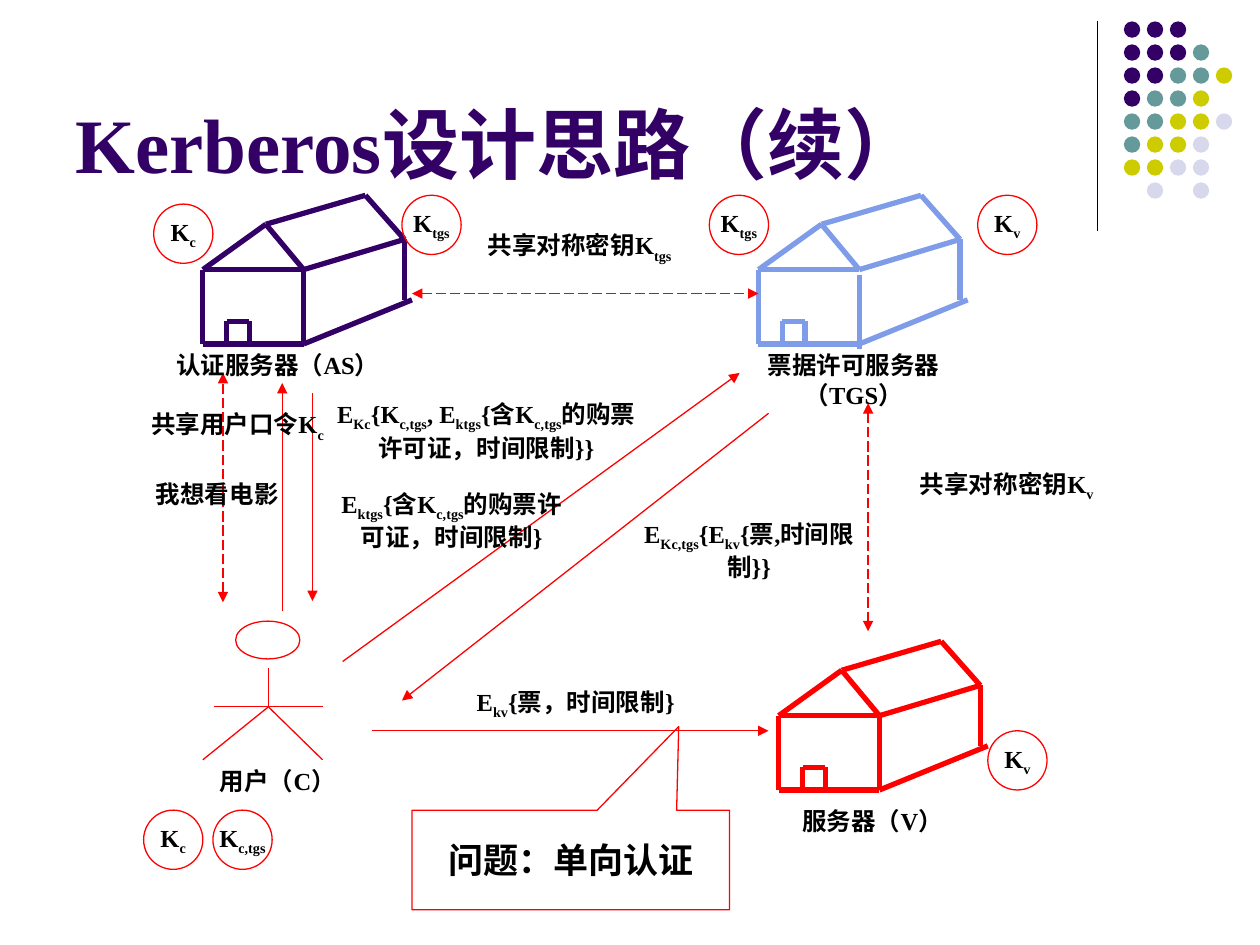
from lxml import etree
from pptx import Presentation
from pptx.dml.color import RGBColor
from pptx.enum.dml import MSO_LINE
from pptx.enum.shapes import MSO_CONNECTOR, MSO_SHAPE
from pptx.enum.text import MSO_ANCHOR, MSO_AUTO_SIZE, PP_ALIGN
from pptx.oxml.ns import qn
from pptx.util import Inches, Pt

STRAIGHT = MSO_CONNECTOR.STRAIGHT
OVAL, CALLOUT = MSO_SHAPE.OVAL, MSO_SHAPE.RECTANGULAR_CALLOUT
LONG_DASH = MSO_LINE.LONG_DASH
TOP, MIDDLE, BOTTOM = MSO_ANCHOR.TOP, MSO_ANCHOR.MIDDLE, MSO_ANCHOR.BOTTOM
LEFT, CENTER = PP_ALIGN.LEFT, PP_ALIGN.CENTER
FIT_TEXT = MSO_AUTO_SIZE.SHAPE_TO_FIT_TEXT

FONT = "Times New Roman"
BLACK = RGBColor(0x00, 0x00, 0x00)
PURPLE = RGBColor(0x33, 0x00, 0x66)
BLUE = RGBColor(0x7E, 0x9C, 0xE8)
RED = RGBColor(0xFF, 0x00, 0x00)
TEAL = RGBColor(0x66, 0x99, 0x99)
YELLOW = RGBColor(0xCC, 0xCC, 0x00)
LAVENDER = RGBColor(0xD8, 0xD8, 0xEC)

DOT_COLORS = {"P": PURPLE, "T": TEAL, "Y": YELLOW, "L": LAVENDER}
DOT_ROWS = ["PPP", "PPPT", "PPTTY", "PTTY", "TTYYL", "TYYL", "YYLL", "-L-L"]
DOT_PITCH = 0.73 / 4

# Strokes of a house, measured from its top left corner
HOUSE_STROKES = [
    (0.5, 0.23, 0, 0.59), (0.5, 0.23, 0.8, 0.59), (0, 0.59, 0.8, 0.59),
    (0.5, 0.23, 1.29, 0), (1.29, 0, 1.6, 0.35), (0.8, 0.59, 1.6, 0.35),
    (0, 0.59, 0, 1.18), (0, 1.18, 0.8, 1.18), (0.8, 1.18, 1.66, 0.83),
    (1.6, 0.35, 1.6, 0.83),
    (0.19, 1, 0.19, 1.18), (0.19, 1, 0.37, 1), (0.37, 1, 0.37, 1.18),
]

# Text in square brackets is subscript
LABELS = [
    ("票据许可服务器（TGS）", 5.79, 2.73, 1.97, 0.57),
    ("服务器（V）", 5.94, 6.35, 1.97, 0.33),
    ("认证服务器（AS）", 1.22, 2.73, 1.97, 0.33),
    ("用户（C）", 1.22, 6.03, 1.97, 0.33),
    ("我想看电影", 0.9, 3.75, 1.65, 0.33),
    ("E[Kc]{K[c,tgs], E[ktgs]{含K[c,tgs]的购票许可证，时间限制}}", 2.56, 3.12, 2.6, 0.57),
    ("E[ktgs]{含K[c,tgs]的购票许可证，时间限制}", 2.56, 3.83, 2.05, 0.57),
    ("E[Kc,tgs]{E[kv]{票,时间限制}}", 4.92, 4.07, 2.05, 0.57),
    ("E[kv]{票，时间限制}", 3.27, 5.4, 2.6, 0.33),
    ("共享对称密钥K[tgs]", 3.5, 1.78, 2.2, 0.33),
    ("共享对称密钥K[v]", 6.89, 3.67, 2.2, 0.33),
    ("共享用户口令K[c]", 1.06, 3.2, 1.65, 0.33),
]
MESSAGES = [
    (2.24, 4.85, 2.24, 3.04), (2.48, 3.12, 2.48, 4.77),
    (2.72, 5.25, 5.87, 2.96), (6.1, 3.28, 3.19, 5.56),
    (2.95, 5.8, 6.1, 5.8),
]
SHARED_KEYS = [
    (3.27, 2.33, 6.02, 2.33), (6.89, 3.2, 6.89, 5.01), (1.77, 4.78, 1.77, 2.96),
]
KEYS = [
    ("K[c,tgs]", 1.69, 6.43), ("K[c]", 1.14, 6.43), ("K[c]", 1.22, 1.62),
    ("K[tgs]", 5.63, 1.55), ("K[v]", 7.84, 5.8), ("K[tgs]", 3.19, 1.55),
    ("K[v]", 7.76, 1.55),
]


def write(shape, text, size=14, color=BLACK, align=CENTER, anchor=TOP, wrap=True):
    """Fill a shape with bold text; parts in square brackets become subscript."""
    frame = shape.text_frame
    frame.word_wrap = wrap
    frame.vertical_anchor = anchor
    para = frame.paragraphs[0]
    para.alignment = align
    for index, part in enumerate(text.replace("]", "[").split("[")):
        if not part:
            continue
        span = para.add_run()
        span.text = part
        font = span.font
        font.name, font.size, font.bold = FONT, Pt(size), True
        font.color.rgb = color
        if index % 2:
            span._r.get_or_add_rPr().set("baseline", "-25000")


def add_label(page, text, left, top, width, height, **text_format):
    box = page.shapes.add_textbox(Inches(left), Inches(top), Inches(width), Inches(height))
    write(box, text, **text_format)
    return box


def add_line(page, ends, color=RED, width=0.75, dash=None, arrows=()):
    """Draw a line; arrows names the ends to be tipped, in XML order."""
    line = page.shapes.add_connector(STRAIGHT, *(Inches(value) for value in ends))
    line.line.color.rgb = color
    line.line.width = Pt(width)
    if dash is not None:
        line.line.dash_style = dash
    properties = line._element.spPr
    for end in arrows:
        etree.SubElement(properties.find(qn("a:ln")), qn(f"a:{end}"), type="triangle")
    etree.SubElement(properties, qn("a:effectLst"))


def add_outline(page, kind, left, top, width, height):
    shape = page.shapes.add_shape(kind, Inches(left), Inches(top), Inches(width), Inches(height))
    shape.shadow.inherit = False
    shape.fill.background()
    shape.line.color.rgb = RED
    shape.line.width = Pt(0.75)
    return shape


def add_dots(page):
    for row, codes in enumerate(DOT_ROWS):
        for column, code in enumerate(codes):
            if code in DOT_COLORS:
                dot = add_outline(page, OVAL, 8.92 + column * DOT_PITCH,
                                  0.17 + row * DOT_PITCH, 0.13, 0.13)
                dot.fill.solid()
                dot.fill.fore_color.rgb = DOT_COLORS[code]
                dot.line.fill.background()


def add_house(page, left, top, color, edge_drop=0):
    """Draw a house; edge_drop lowers the upright edge between its walls."""
    edge = (0.8, 0.59 + edge_drop, 0.8, 1.18 + edge_drop)
    for x1, y1, x2, y2 in HOUSE_STROKES + [edge]:
        add_line(page, (left + x1, top + y1, left + x2, top + y2), color, 3)


def add_user(page):
    add_outline(page, OVAL, 1.87, 4.93, 0.51, 0.3)
    for end in [(2.13, 5.3), (1.61, 6.03), (2.56, 6.03)]:
        add_line(page, (2.13, 5.61, *end))
    add_line(page, (1.7, 5.61, 2.56, 5.61))


def main():
    deck = Presentation()
    deck.slide_width, deck.slide_height = Inches(10), Inches(7.5)
    page = deck.slides.add_slide(deck.slide_layouts[6])

    add_line(page, (8.71, 0.17, 8.71, 1.83), BLACK)
    add_dots(page)
    add_label(page, "Kerberos设计思路（续）", 0.5, 0.13, 8.25, 1.42,
              size=44, color=PURPLE, align=LEFT, anchor=BOTTOM)

    add_house(page, 6.02, 1.55, BLUE, edge_drop=0.04)
    add_house(page, 6.18, 5.09, RED)
    add_house(page, 1.61, 1.55, PURPLE)
    add_user(page)

    for ends in MESSAGES:
        add_line(page, ends, arrows=["tailEnd"])
    for ends in SHARED_KEYS:
        add_line(page, ends, dash=LONG_DASH, arrows=["headEnd", "tailEnd"])
    for label in LABELS:
        add_label(page, *label).text_frame.auto_size = FIT_TEXT

    callout = add_outline(page, CALLOUT, 3.27, 6.43, 2.52, 0.79)
    callout.adjustments[0], callout.adjustments[1] = 0.34, -1.34
    write(callout, "问题：单向认证", size=20, anchor=MIDDLE)
    for text, left, top in KEYS:
        circle = add_outline(page, OVAL, left, top, 0.47, 0.47)
        write(circle, text, anchor=MIDDLE, wrap=False)

    deck.save("out.pptx")


if __name__ == "__main__":
    main()
